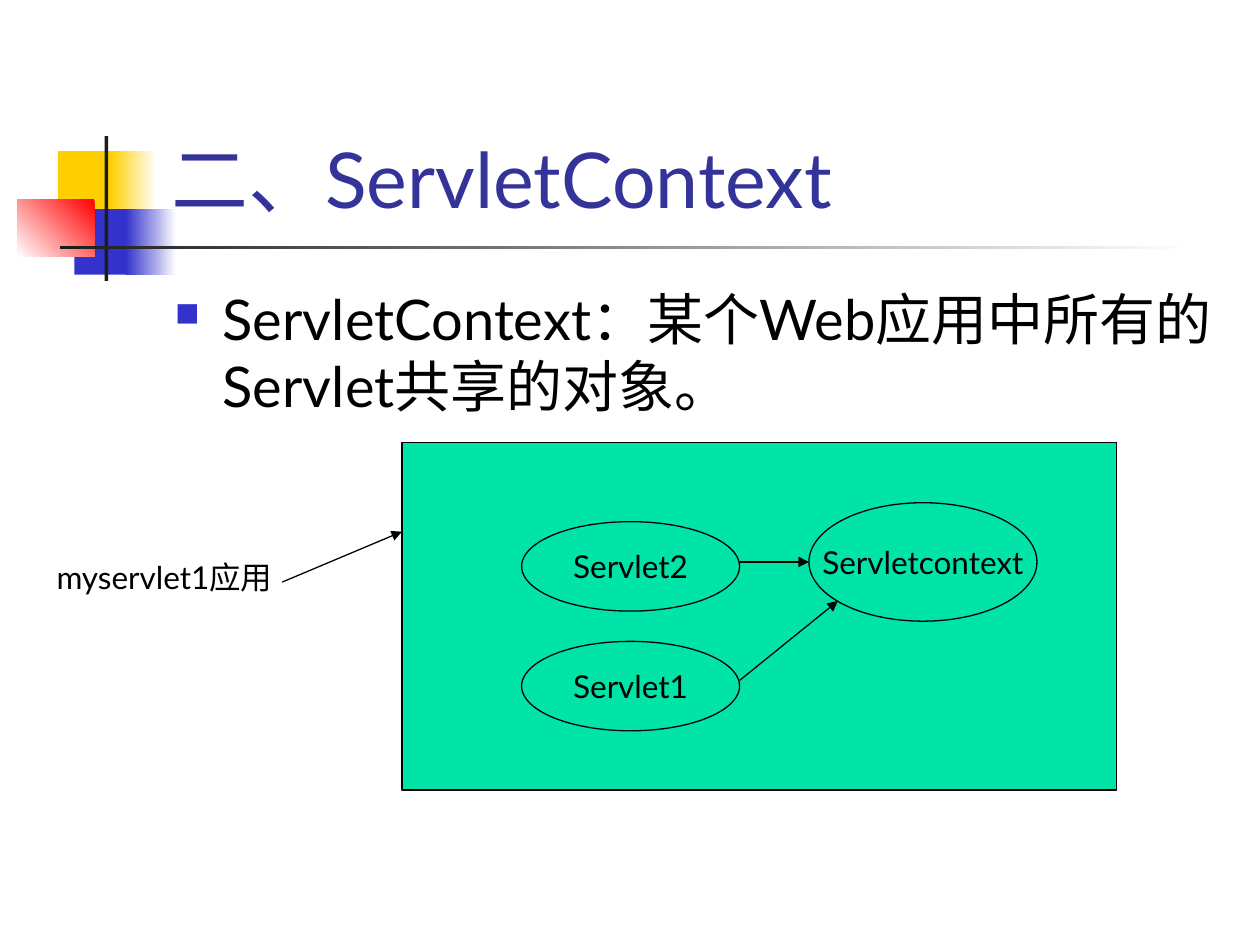
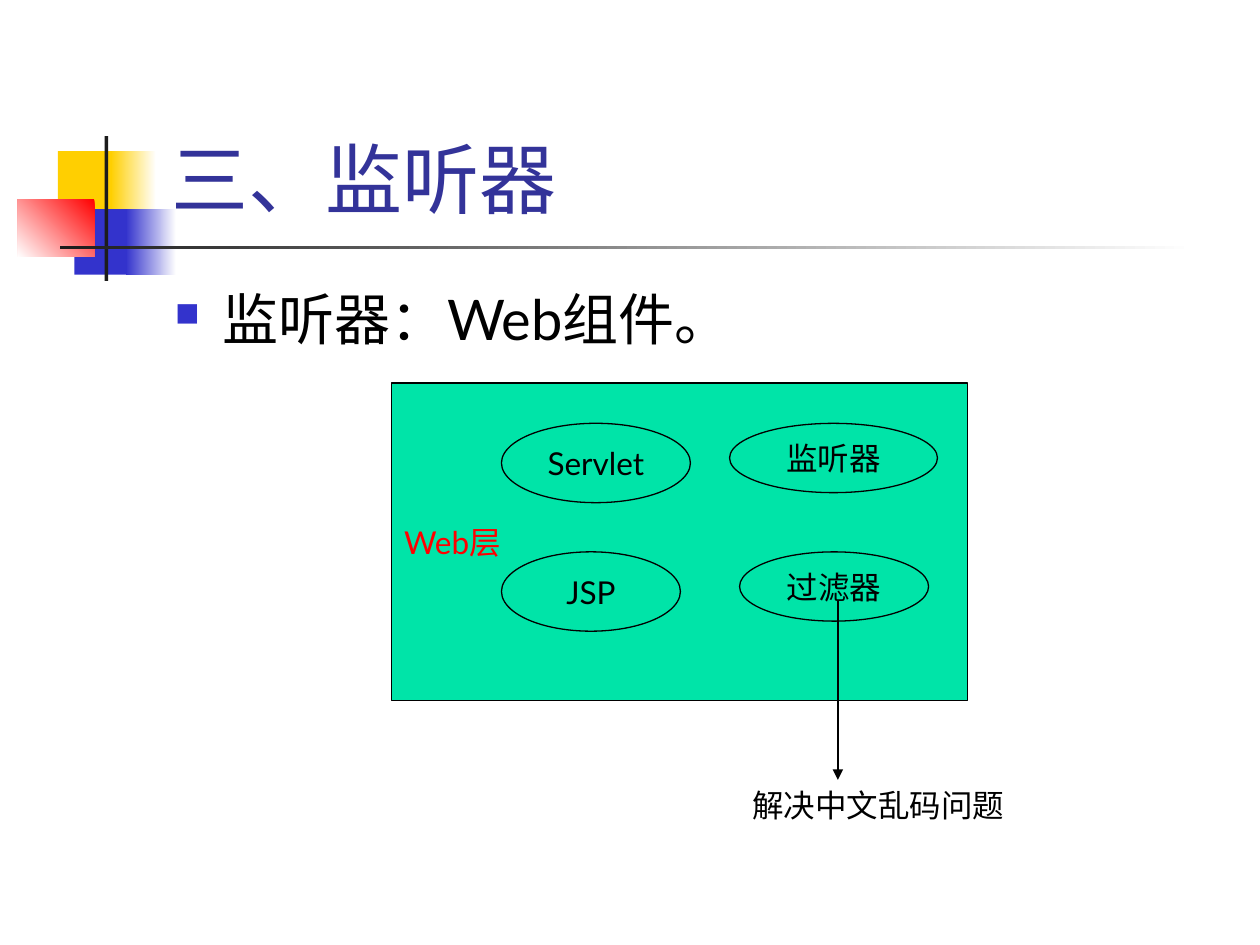
from typing import NamedTuple, Optional

from lxml import etree
from pptx import Presentation
from pptx.dml.color import RGBColor
from pptx.enum.shapes import MSO_CONNECTOR as Connector, MSO_SHAPE as Preset
from pptx.enum.text import MSO_ANCHOR as Anchor, MSO_AUTO_SIZE as AutoSize, PP_ALIGN as Align
from pptx.oxml.ns import qn
from pptx.util import Inches, Pt

FONT = "Lato"
WHITE = "FFFFFF"
BLACK = "000000"
YELLOW = "FFCF01"
BLUE = "3333CC"
RED = "FF0000"
CHARCOAL = "1C1C1C"
TITLE_BLUE = "333399"
GREEN = "00E4A8"
LINE_WIDTH = Pt(0.75)
LABEL_SIZE = 18


class Box(NamedTuple):
    left: float
    top: float
    width: float
    height: float

    def lengths(self):
        return [Inches(value) for value in self]


class Band(NamedTuple):
    box: Box
    start: str
    end: Optional[str] = None
    angle: float = 180


class Node(NamedTuple):
    text: str
    box: Box
    preset: Preset = Preset.OVAL
    color: str = BLACK
    align: Align = Align.CENTER


class Label(NamedTuple):
    text: str
    box: Box


class Arrow(NamedTuple):
    start: tuple[float, float]
    end: tuple[float, float]


class Page(NamedTuple):
    title: str
    body: str
    body_height: float
    nodes: list[Node]
    labels: list[Label]
    arrows: list[Arrow]


BANDS = [
    Band(Box(0.46, 1.2, 0.48, 0.52), YELLOW),
    Band(Box(0.88, 1.2, 0.36, 0.52), WHITE, YELLOW),
    Band(Box(0.59, 1.66, 0.46, 0.52), BLUE),
    Band(Box(1, 1.66, 0.4, 0.52), WHITE, BLUE),
    Band(Box(0.14, 1.58, 0.61, 0.46), RED, WHITE, 225),
    Band(Box(0.83, 1.08, 0.03, 1.15), CHARCOAL),
    Band(Box(0.48, 1.95, 9, 0.03), WHITE, CHARCOAL),
]

PAGES = [
    Page(
        "二、ServletContext",
        "ServletContext：某个Web应用中所有的Servlet共享的对象。",
        1.23,
        [
            Node("", Box(3.19, 3.51, 5.67, 2.76), Preset.RECTANGLE),
            Node("Servletcontext", Box(6.42, 3.99, 1.81, 0.94)),
            Node("Servlet1", Box(4.14, 5.09, 1.73, 0.71)),
            Node("Servlet2", Box(4.14, 4.14, 1.73, 0.71)),
        ],
        [Label("myservlet1应用", Box(0.35, 4.38, 2.05, 0.4))],
        [
            Arrow((5.87, 5.4), (6.65, 4.77)),
            Arrow((5.87, 4.46), (6.42, 4.46)),
            Arrow((2.24, 4.62), (3.19, 4.22)),
        ],
    ),
    Page(
        "三、监听器",
        "监听器：Web组件。",
        0.84,
        [
            Node("Web层", Box(3.11, 3.04, 4.57, 2.52), Preset.RECTANGLE, RED, Align.LEFT),
            Node("Servlet", Box(3.98, 3.36, 1.5, 0.63)),
            Node("JSP", Box(3.98, 4.38, 1.42, 0.63)),
            Node("监听器", Box(5.79, 3.36, 1.65, 0.55)),
            Node("过滤器", Box(5.87, 4.38, 1.5, 0.55)),
        ],
        [Label("解决中文乱码问题", Box(5.87, 6.19, 2.21, 0.4))],
        [Arrow((6.65, 4.77), (6.65, 6.19))],
    ),
]


def rgb(color: str) -> RGBColor:
    return RGBColor.from_string(color)


def write(paragraph, text: str, size: float, color: str) -> None:
    run = paragraph.add_run()
    run.text = text
    run.font.name = FONT
    run.font.size = Pt(size)
    run.font.color.rgb = rgb(color)


def add_text(slide, box: Box, text: str, size: float, color: str, anchor: Anchor = Anchor.TOP):
    shape = slide.shapes.add_textbox(*box.lengths())
    frame = shape.text_frame
    frame.word_wrap = True
    frame.vertical_anchor = anchor
    write(frame.paragraphs[0], text, size, color)
    return shape


def add_bullet(paragraph) -> None:
    properties = paragraph._p.get_or_add_pPr()
    properties.set("marL", str(Inches(0.38)))
    properties.set("indent", str(-Inches(0.38)))
    color = etree.SubElement(properties, qn("a:buClr"))
    etree.SubElement(color, qn("a:srgbClr"), val=BLUE)
    etree.SubElement(properties, qn("a:buSzPct"), val="60000")
    etree.SubElement(properties, qn("a:buChar"), char="■")


def add_band(slide, band: Band) -> None:
    shape = slide.shapes.add_shape(Preset.RECTANGLE, *band.box.lengths())
    shape.shadow.inherit = False
    shape.line.fill.background()
    if band.end is None:
        shape.fill.solid()
        shape.fill.fore_color.rgb = rgb(band.start)
        return
    shape.fill.gradient()
    shape.fill.gradient_angle = band.angle
    for stop, color in zip(shape.fill.gradient_stops, (band.start, band.end)):
        stop.color.rgb = rgb(color)


def add_node(slide, node: Node) -> None:
    shape = slide.shapes.add_shape(node.preset, *node.box.lengths())
    shape.shadow.inherit = False
    shape.fill.solid()
    shape.fill.fore_color.rgb = rgb(GREEN)
    shape.line.color.rgb = rgb(BLACK)
    shape.line.width = LINE_WIDTH
    if node.text:
        frame = shape.text_frame
        frame.word_wrap = False
        frame.vertical_anchor = Anchor.MIDDLE
        frame.paragraphs[0].alignment = node.align
        write(frame.paragraphs[0], node.text, LABEL_SIZE, node.color)


def add_arrow(slide, arrow: Arrow) -> None:
    points = [Inches(value) for value in (*arrow.start, *arrow.end)]
    connector = slide.shapes.add_connector(Connector.STRAIGHT, *points)
    connector.line.color.rgb = rgb(BLACK)
    connector.line.width = LINE_WIDTH
    etree.SubElement(connector.line._get_or_add_ln(), qn("a:tailEnd"), type="triangle")
    etree.SubElement(connector._element.spPr, qn("a:effectLst"))


def add_page(presentation, page: Page) -> None:
    slide = presentation.slides.add_slide(presentation.slide_layouts[6])
    for band in BANDS:
        add_band(slide, band)
    add_text(slide, Box(1.26, 0.23, 8.52, 1.6), page.title, 44, TITLE_BLUE, Anchor.BOTTOM)
    body = add_text(slide, Box(1.29, 2.21, 8.5, page.body_height), page.body, 32, BLACK)
    add_bullet(body.text_frame.paragraphs[0])
    for node in page.nodes:
        add_node(slide, node)
    for label in page.labels:
        shape = add_text(slide, label.box, label.text, LABEL_SIZE, BLACK)
        shape.text_frame.auto_size = AutoSize.SHAPE_TO_FIT_TEXT
    for arrow in page.arrows:
        add_arrow(slide, arrow)


def main() -> None:
    presentation = Presentation()
    presentation.slide_width = Inches(10)
    presentation.slide_height = Inches(7.5)
    for page in PAGES:
        add_page(presentation, page)
    presentation.save("out.pptx")


if __name__ == "__main__":
    main()
